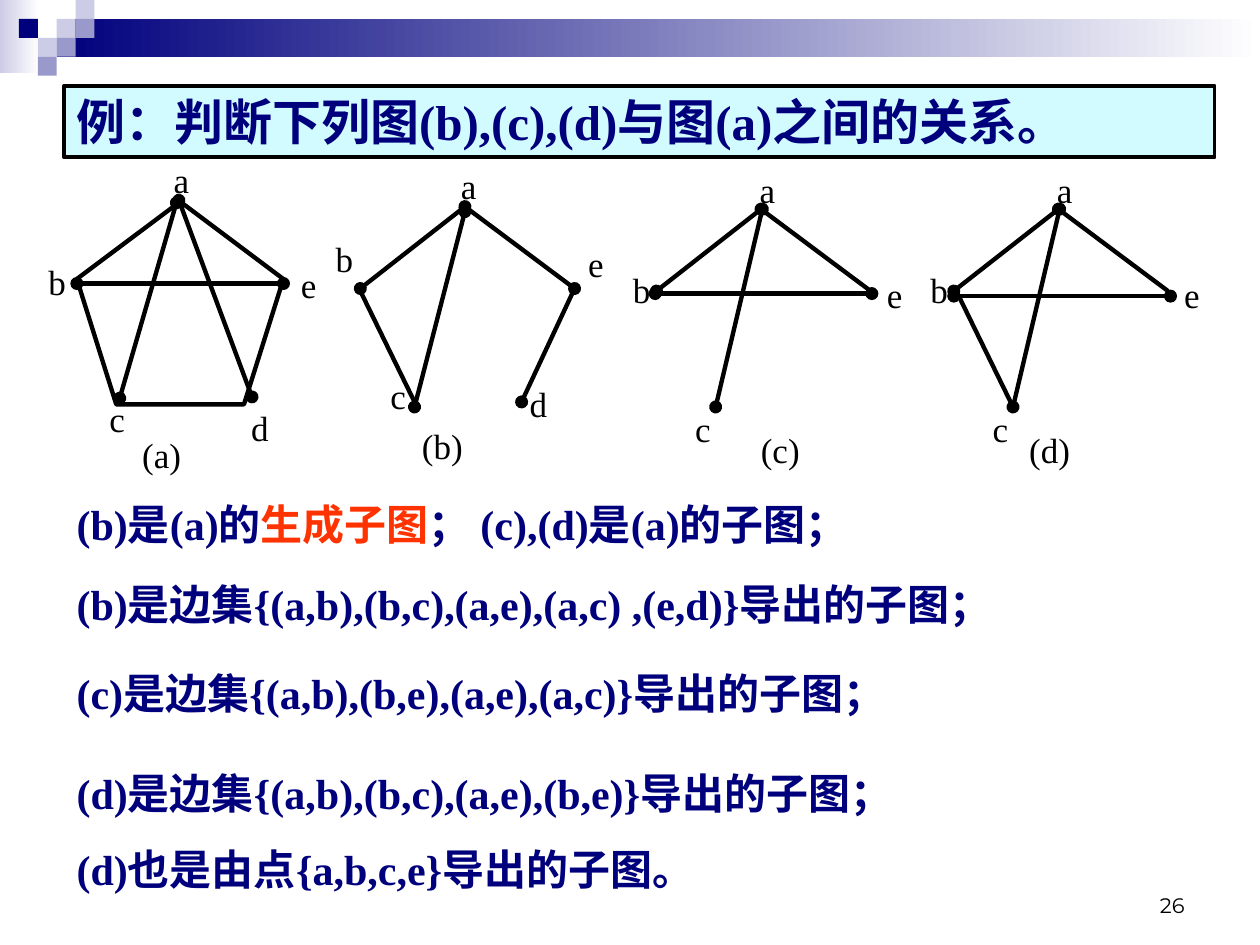
"""Build a slide that compares a graph with three of its subgraphs."""
from typing import NamedTuple

from lxml.etree import SubElement
from pptx import Presentation
from pptx.dml.color import RGBColor
from pptx.enum.shapes import MSO_CONNECTOR, MSO_SHAPE
from pptx.enum.text import MSO_ANCHOR, MSO_AUTO_SIZE, PP_ALIGN
from pptx.oxml.ns import qn
from pptx.util import Inches, Pt

COLS, ROWS = 100, 75
NAVY, PALE, MID, BLACK, RED, WHITE = (
    "00007D", "CCCCE6", "9999CC", "000000", "FF3300", "FFFFFF")
SERIF, SANS = "Times New Roman", "Arial"
STEP = 23.6

deck = Presentation()
deck.slide_width, deck.slide_height = Inches(10), Inches(7.5)
slide = deck.slides.add_slide(deck.slide_layouts[6])
shapes = slide.shapes


class Run(NamedTuple):
    text: str
    color: str = NAVY
    font: str = SERIF


class Style(NamedTuple):
    size: float = 24
    bold: bool = True
    align: PP_ALIGN = PP_ALIGN.LEFT
    wrap: bool = True
    grow: bool = True
    lead: float = 1
    gap: float = 0


class Edge(NamedTuple):
    x: float
    y: float
    end_x: float
    end_y: float
    dots: bool = True


class Mark(NamedTuple):
    text: str
    x: float
    y: float


class Graph(NamedTuple):
    x: float
    y: float
    edges: list[Edge]
    marks: list[Mark]
    name: Mark


class Note(NamedTuple):
    y: float
    width: float
    height: float
    lines: list[list[Run]]


def paint(code: str) -> RGBColor:
    return RGBColor.from_string(code)


def col(n: float) -> int:
    return round(deck.slide_width * n / COLS)


def row(n: float) -> int:
    return round(deck.slide_height * n / ROWS)


def area(x: float, y: float, wide: float, high: float) -> tuple[int, ...]:
    return col(x), row(y), col(wide), row(high)


def form(kind: MSO_SHAPE, place: tuple[int, ...], fills: list[str], line: float = 0):
    shape = shapes.add_shape(kind, *place)
    shape.shadow.inherit = False
    if not fills:
        shape.fill.background()
    elif len(fills) == 1:
        shape.fill.solid()
        shape.fill.fore_color.rgb = paint(fills[0])
    else:
        shape.fill.gradient()
        shape.fill.gradient_angle = 0
        for stop, code in zip(shape.fill.gradient_stops, fills):
            stop.color.rgb = paint(code)
    if line:
        shape.line.color.rgb = paint(BLACK)
        shape.line.width = Pt(line)
    else:
        shape.line.fill.background()
    return shape


def write(shape, lines: list[list[Run]], style: Style, anchor=MSO_ANCHOR.TOP) -> None:
    frame = shape.text_frame
    frame.word_wrap = style.wrap
    frame.auto_size = (
        MSO_AUTO_SIZE.SHAPE_TO_FIT_TEXT if style.grow else MSO_AUTO_SIZE.NONE)
    frame.vertical_anchor = anchor
    for i, runs in enumerate(lines):
        para = frame.add_paragraph() if i else frame.paragraphs[0]
        para.alignment = style.align
        para.line_spacing = style.lead
        if i:
            para.space_before = Pt(style.gap)
        for item in runs:
            run = para.add_run()
            run.text = item.text
            run.font.name = item.font
            run.font.size = Pt(style.size)
            run.font.bold = style.bold
            run.font.color.rgb = paint(item.color)


def join(graph: Graph, edge: Edge) -> None:
    link = shapes.add_connector(
        MSO_CONNECTOR.STRAIGHT,
        col(graph.x + edge.x), row(graph.y + edge.y),
        col(graph.x + edge.end_x), row(graph.y + edge.end_y))
    link.line.color.rgb = paint(BLACK)
    link.line.width = Pt(2.5)
    if edge.dots:
        pen = link.line._get_or_add_ln()
        for tag in ("a:headEnd", "a:tailEnd"):
            SubElement(pen, qn(tag), type="oval")
    SubElement(link._element.spPr, qn("a:effectLst"))


def draw(graph: Graph) -> None:
    for edge in graph.edges:
        join(graph, edge)
    tight = Style(20, False, PP_ALIGN.CENTER, False, lead=0.5)
    for mark in graph.marks:
        box = shapes.add_textbox(
            *area(graph.x + mark.x - 1.65, graph.y + mark.y, 3.3, 2.7))
        write(box, [[Run(mark.text, BLACK)]], tight)
    name = graph.name
    box = shapes.add_textbox(*area(graph.x + name.x, graph.y + name.y, 6.3, 4.4))
    write(box, [[Run(name.text, BLACK)]], Style(20, False))


SIDES = [Edge(0, 0, -8.3, 6.5), Edge(0, 0, 8.7, 6.5, False)]
MARKS = [Mark("b", -9.5, 5.7), Mark("a", 0.5, -2.3),
         Mark("c", -4.6, 16.7), Mark("e", 10.6, 6.1)]
STEM = Edge(0.1, 0, -3.6, 15.7)

GRAPHS = [
    Graph(14.2, 15.9,
          [Edge(-0.2, 0.2, -4.7, 15.7), Edge(-8.1, 6.6, 8.3, 6.6),
           Edge(0, 0, 5.8, 15.6)],
          [Mark("b", -9.7, 5.7), Mark("a", 0.2, -2.4), Mark("c", -4.9, 16.6),
           Mark("d", 6.4, 17.3), Mark("e", 10.3, 6)],
          Mark("(a)", -3.9, 18)),
    Graph(36.9, 16.4,
          SIDES + [Edge(-8.4, 6.5, -4, 15.5, False), Edge(8.7, 6.5, 4.5, 15.5),
                   Edge(0, 0.4, -4, 15.9)],
          [Mark("b", -9.6, 3.4), Mark("a", 0.3, -2.4), Mark("c", -5.3, 14.3),
           Mark("d", 5.8, 14.9), Mark("e", 10.4, 3.8)],
          Mark("(b)", -4.4, 16.8)),
    Graph(60.4, 16.6, SIDES + [Edge(-8.4, 6.7, 8.8, 6.7), STEM],
          MARKS, Mark("(c)", -1, 16.9)),
    Graph(60.4 + STEP, 16.6,
          SIDES + [Edge(-8.1, 6.5, -3.7, 15.5, False),
                   Edge(-8.3, 6.9, 8.9, 6.9), STEM],
          MARKS, Mark("(d)", -3.3, 16.9)),
]

NOTES = [
    Note(39.1, 76.4, 5, [[Run("(b)是(a)的"), Run("生成子图", RED),
                          Run("； (c),(d)是(a)的子图；")]]),
    Note(45.4, 92.9, 5, [[Run("(b)是边集{(a,b),(b,c),(a,e),(a,c) ,(e,d)}导出的子图；")]]),
    Note(52.5, 83.5, 5, [[Run("(c)是边集{(a,b),(b,e),(a,e),(a,c)}导出的子图；")]]),
    Note(60.4, 92.1, 11.1, [[Run("(d)是边集{(a,b),(b,c),(a,e),(b,e)}导出的子图；")],
                            [Run("(d)也是由点{a,b,c,e}导出的子图。")]]),
]

TILES = [(3, 1, PALE), (4, 0, PALE), (4, 1, MID), (2, 2, PALE),
         (1, 1, NAVY), (3, 2, MID), (2, 3, MID)]
TITLE = [Run("例：判断下列图", font=SANS), Run("(b),(c),(d)"), Run("与图", font=SANS),
         Run("(a)"), Run("之间的关系。", font=SANS)]


def main() -> None:
    form(MSO_SHAPE.RECTANGLE, area(0, 0, 3.1, 5.8), [PALE, WHITE])
    form(MSO_SHAPE.RECTANGLE, area(4.5, 1.5, 95.5, 3), [NAVY, WHITE])
    for x, y, code in TILES:
        form(MSO_SHAPE.RECTANGLE, area(x * 1.5, y * 1.5, 1.5, 1.5), [code])
    form(MSO_SHAPE.REGULAR_PENTAGON, area(6.1, 16, 16.4, 16.1), [], 2.5)
    for graph in GRAPHS:
        draw(graph)
    for note in NOTES:
        box = shapes.add_textbox(*area(5.1, note.y, note.width, note.height))
        write(box, note.lines, Style(gap=15))
    title = form(MSO_SHAPE.RECTANGLE, area(5.1, 6.8, 91.3, 5.7), ["D1FBFF"], 2.25)
    write(title, [TITLE], Style(28))
    page = shapes.add_textbox(*area(71.7, 68.3, 23.3, 5))
    write(page, [[Run("26", BLACK, "Montserrat")]],
          Style(12, False, PP_ALIGN.RIGHT, grow=False), MSO_ANCHOR.BOTTOM)
    deck.save("out.pptx")


if __name__ == "__main__":
    main()
